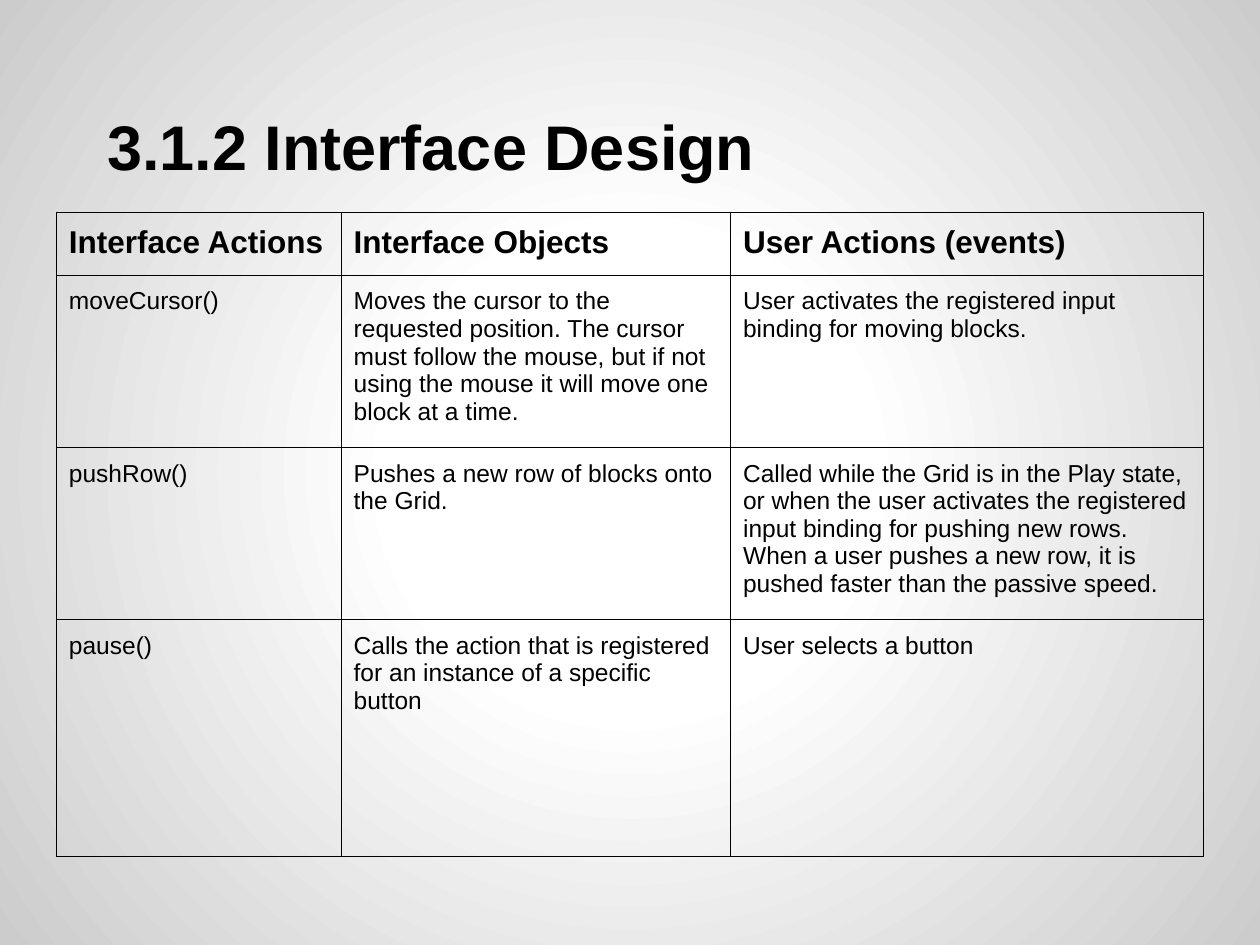
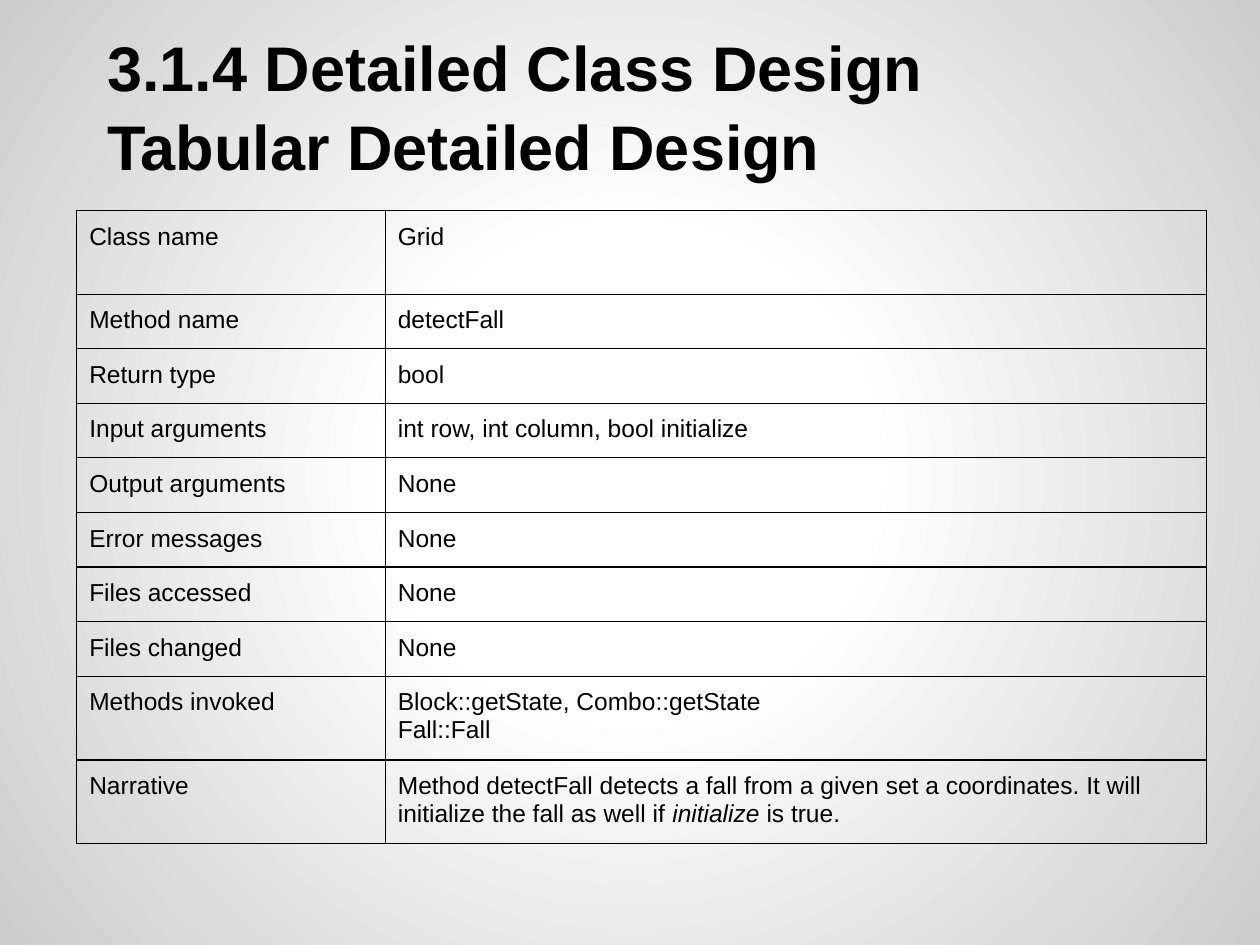
from itertools import product

from pptx import Presentation
from pptx.dml.color import RGBColor as Rgb
from pptx.enum.text import MSO_ANCHOR as Anchor, MSO_AUTO_SIZE as Fit, PP_ALIGN as Align
from pptx.oxml import parse_xml
from pptx.oxml.ns import nsdecls, qn
from pptx.util import Cm, Pt

BLACK = Rgb(0x00, 0x00, 0x00)
WHITE = Rgb(0xFF, 0xFF, 0xFF)
GREY = Rgb(0xCC, 0xCC, 0xCC)
STOPS = ((0, WHITE), (30, WHITE), (100, GREY))

PAD = Cm(0.25)
EDGE = Pt(0.75)
INSETS = {f"margin_{side}": PAD for side in ("left", "top", "right", "bottom")}
BASE = {"name": "Arial", "bold": False}
BODY = BASE | {"size": Pt(14)}
HEAD = BASE | {"size": Pt(18), "bold": True}
TITLE = BASE | {"size": Pt(36), "bold": True}
FRAME = INSETS | {"vertical_anchor": Anchor.BOTTOM, "word_wrap": True, "auto_size": Fit.NONE}
PLACE = {"left": Cm(1.27), "top": Cm(0.76), "width": Cm(22.86), "height": Cm(3.18)}

ACTIONS = (
    ("Interface Actions", "Interface Objects", "User Actions (events)"),
    ("moveCursor()",
     "Moves the cursor to the requested position. The cursor must follow the mouse, "
     "but if not using the mouse it will move one block at a time.",
     "User activates the registered input binding for moving blocks."),
    ("pushRow()",
     "Pushes a new row of blocks onto the Grid.",
     "Called while the Grid is in the Play state, or when the user activates the "
     "registered input binding for pushing new rows. When a user pushes a new row, "
     "it is pushed faster than the passive speed."),
    ("pause()",
     "Calls the action that is registered for an instance of a specific button",
     "User selects a button"),
)
METHOD = (
    ("Class name", "Grid"),
    ("Method name", "detectFall"),
    ("Return type", "bool"),
    ("Input arguments", "int row, int column, bool initialize"),
    ("Output arguments", "None"),
    ("Error messages", "None"),
    ("Files accessed", "None"),
    ("Files changed", "None"),
    ("Methods invoked", "Block::getState, Combo::getState\nFall::Fall"),
    ("Narrative",
     "Method detectFall detects a fall from a given set a coordinates. "
     "It will initialize the fall as well if *initialize* is true."),
)


def apply(item, style):
    """Set each attribute in a style on an item."""
    for name, value in style.items():
        setattr(item, name, value)


def write(frame, text, style):
    """Fill a frame, one paragraph a line, with starred words in italics."""
    for i, line in enumerate(text.split("\n")):
        para = frame.add_paragraph() if i else frame.paragraphs[0]
        para.alignment = Align.LEFT
        for j, part in enumerate(line.split("*")):
            run = para.add_run()
            run.text = part
            apply(run.font, style | {"italic": j % 2 == 1})
            run.font.color.rgb = BLACK


def paint(master):
    """Give the master a round gradient that darkens outwards."""
    master.background.fill.solid()
    back = master.element.find(".//" + qn("p:bgPr"))
    stops = "".join(
        f'<a:gs pos="{pos * 1000}"><a:srgbClr val="{tone}"/></a:gs>' for pos, tone in STOPS)
    back.replace(back[0], parse_xml(
        f'<a:gradFill {nsdecls("a")} rotWithShape="1"><a:gsLst>{stops}</a:gsLst>'
        '<a:path path="circle"><a:fillToRect l="50000" t="50000" r="50000" b="50000"/>'
        '</a:path></a:gradFill>'))


def rule(cell):
    """Draw the four borders of a cell."""
    props = cell._tc.get_or_add_tcPr()
    for side in "LRTB":
        props.append(parse_xml(
            f'<a:ln{side} {nsdecls("a")} w="{EDGE}"><a:solidFill>'
            f'<a:srgbClr val="{BLACK}"/></a:solidFill></a:ln{side}>'))


def head(slide, text):
    """Place and format the slide title."""
    shape = slide.shapes.title
    apply(shape, PLACE)
    apply(shape.text_frame, FRAME)
    write(shape.text_frame, text, TITLE)
    for para in shape.text_frame.paragraphs:
        para.line_spacing = 1.05
        props = para._p.get_or_add_pPr()
        props.set("marL", "0")
        props.set("indent", str(Cm(0.64)))


def grid(slide, left, top, cols, rows, data, first=BODY):
    """Build a ruled table at a corner, with a style for its first row."""
    shape = slide.shapes.add_table(
        len(rows), len(cols), Cm(left), Cm(top), Cm(sum(cols)), Cm(sum(rows)))
    table = shape.table
    apply(table, {"first_row": False, "horz_banding": False})
    for col, width in zip(table.columns, cols):
        col.width = Cm(width)
    for row, height in zip(table.rows, rows):
        row.height = Cm(height)
    for r, c in product(range(len(rows)), range(len(cols))):
        cell = table.cell(r, c)
        apply(cell, INSETS)
        rule(cell)
        cell.fill.background()
        write(cell.text_frame, data[r][c], BODY if r else first)


def main():
    """Build and save both slides."""
    deck = Presentation()
    apply(deck, {"slide_width": Cm(25.4), "slide_height": Cm(19.05)})
    paint(deck.slide_master)
    layout = deck.slide_layouts.get_by_name("Title Only")

    slide = deck.slides.add_slide(layout)
    head(slide, "3.1.2 Interface Design")
    grid(slide, 1.14, 4.28, (5.74, 7.85, 9.53), (1.27, 3.47, 3.47, 4.78), ACTIONS, HEAD)

    slide = deck.slides.add_slide(layout)
    head(slide, "3.1.4 Detailed Class Design\nTabular Detailed Design")
    grid(slide, 1.55, 4.24, (6.22, 16.56), (1.69, *[1.1] * 7, 1.69, 1.69), METHOD)

    deck.save("out.pptx")


if __name__ == "__main__":
    main()
